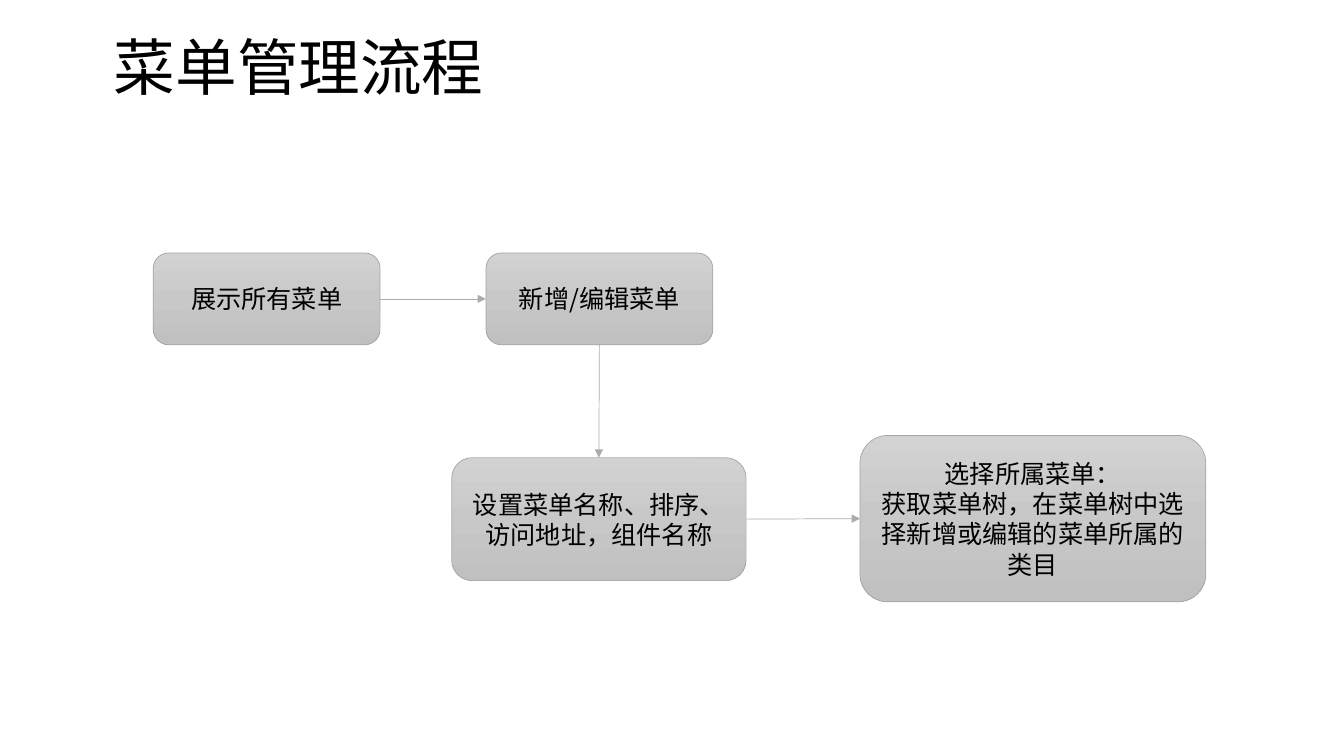
from copy import deepcopy

from lxml.etree import SubElement
from pptx import Presentation
from pptx.dml.color import RGBColor
from pptx.enum.shapes import MSO_CONNECTOR as Connector, MSO_SHAPE as Shape
from pptx.enum.text import MSO_ANCHOR as Anchor, PP_ALIGN as Align
from pptx.oxml.ns import qn
from pptx.util import Inches, Pt

TITLE = "菜单管理流程"
STEPS = {
    "show": (1.52, 2.51, 2.25, 0.91, ["展示所有菜单"]),
    "edit": (4.82, 2.51, 2.25, 0.91, ["新增/编辑菜单"]),
    "set": (4.48, 4.54, 2.92, 1.22, ["设置菜单名称、排序、访问地址，组件名称"]),
    "choose": (8.53, 4.32, 3.43, 1.65,
               ["选择所属菜单：", "获取菜单树，在菜单树中选择新增或编辑的菜单所属的类目"]),
}
TOP, LEFT, BOTTOM, RIGHT = range(4)
ARROWS = [("show", RIGHT, "edit", LEFT), ("edit", BOTTOM, "set", TOP),
          ("set", RIGHT, "choose", LEFT)]

FONT = "Noto Sans CJK SC"
BLACK = RGBColor(0x00, 0x00, 0x00)
BORDER = RGBColor(0xA5, 0xA5, 0xA5)
ARROW = RGBColor(0xAF, 0xAB, 0xAB)
SHADES = [RGBColor(0xD2, 0xD2, 0xD2), RGBColor(0xC8, 0xC8, 0xC8),
          RGBColor(0xC0, 0xC0, 0xC0)]


def add_span(para, text, size):
    span = para.add_run()
    span.text = text
    span.font.size = Pt(size)
    span.font.name = FONT
    span.font.color.rgb = BLACK
    SubElement(span.font._element, qn("a:ea"), typeface=FONT)


def shade(box):
    box.fill.gradient()
    box.fill.gradient_angle = 270
    stops = box._element.spPr.find(qn("a:gradFill")).find(qn("a:gsLst"))
    middle = deepcopy(stops[0])
    middle.set("pos", "50000")
    stops.insert(1, middle)
    for stop, color in zip(box.fill.gradient_stops, SHADES):
        stop.color.rgb = color


def add_step(page, left, top, width, height, lines):
    box = page.shapes.add_shape(Shape.ROUNDED_RECTANGLE, Inches(left), Inches(top),
                                Inches(width), Inches(height))
    box.shadow.inherit = False
    shade(box)
    box.line.color.rgb = BORDER
    box.line.width = Pt(0.5)
    frame = box.text_frame
    frame.word_wrap = True
    frame.vertical_anchor = Anchor.MIDDLE
    for index, text in enumerate(lines):
        para = frame.add_paragraph() if index else frame.paragraphs[0]
        para.alignment = Align.CENTER
        add_span(para, text, 18)
    return box


def add_arrow(page, start, start_side, end, end_side):
    arrow = page.shapes.add_connector(Connector.STRAIGHT, 0, 0, 0, 0)
    arrow.begin_connect(start, start_side)
    arrow.end_connect(end, end_side)
    arrow.line.color.rgb = ARROW
    arrow.line.width = Pt(0.5)
    SubElement(arrow.line._get_or_add_ln(), qn("a:tailEnd"), type="triangle")
    SubElement(arrow._element.spPr, qn("a:effectLst"))


def main():
    """Build the menu management flow slide."""
    deck = Presentation()
    deck.slide_width, deck.slide_height = Inches(13.33), Inches(7.5)
    page = deck.slides.add_slide(deck.slide_layouts[5])

    title = page.shapes.title
    title.left, title.top = Inches(1.03), Inches(0.3)
    title.width, title.height = Inches(11.5), Inches(0.81)
    title.text_frame.vertical_anchor = Anchor.MIDDLE
    para = title.text_frame.paragraphs[0]
    para.alignment = Align.LEFT
    para.line_spacing = 0.9
    add_span(para, TITLE, 44)

    boxes = {name: add_step(page, *step) for name, step in STEPS.items()}
    for start, start_side, end, end_side in ARROWS:
        add_arrow(page, boxes[start], start_side, boxes[end], end_side)
    deck.save("out.pptx")


if __name__ == "__main__":
    main()
